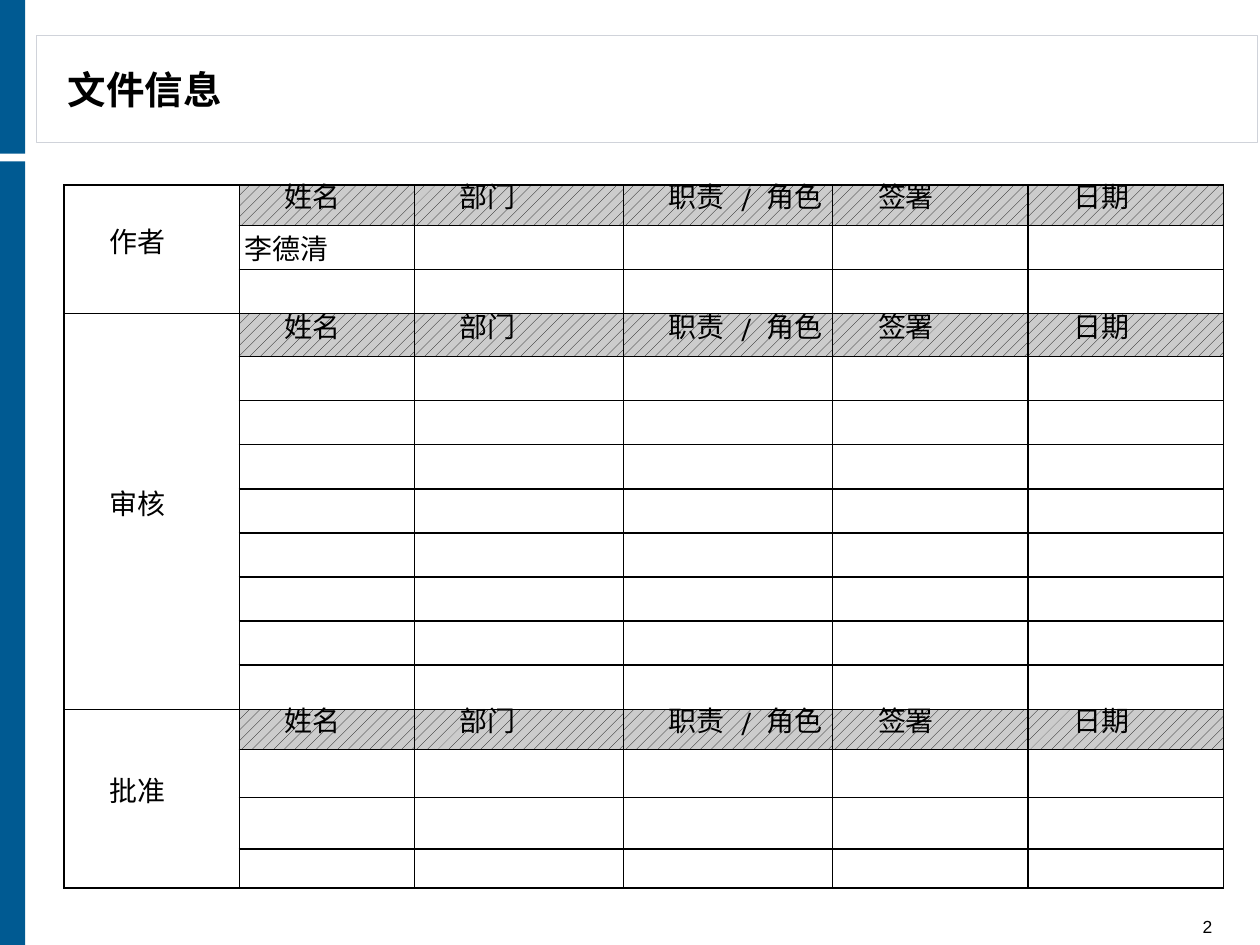
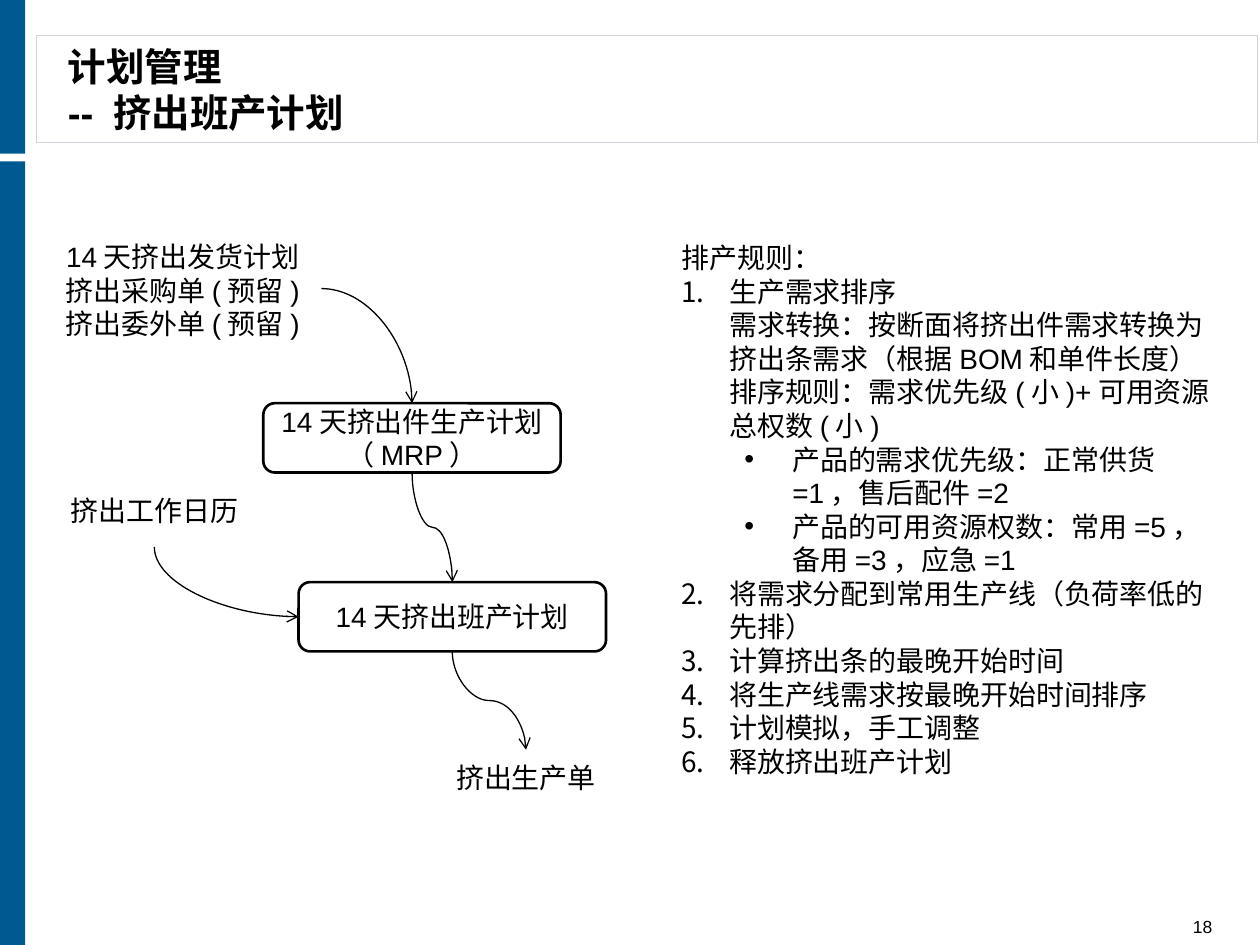
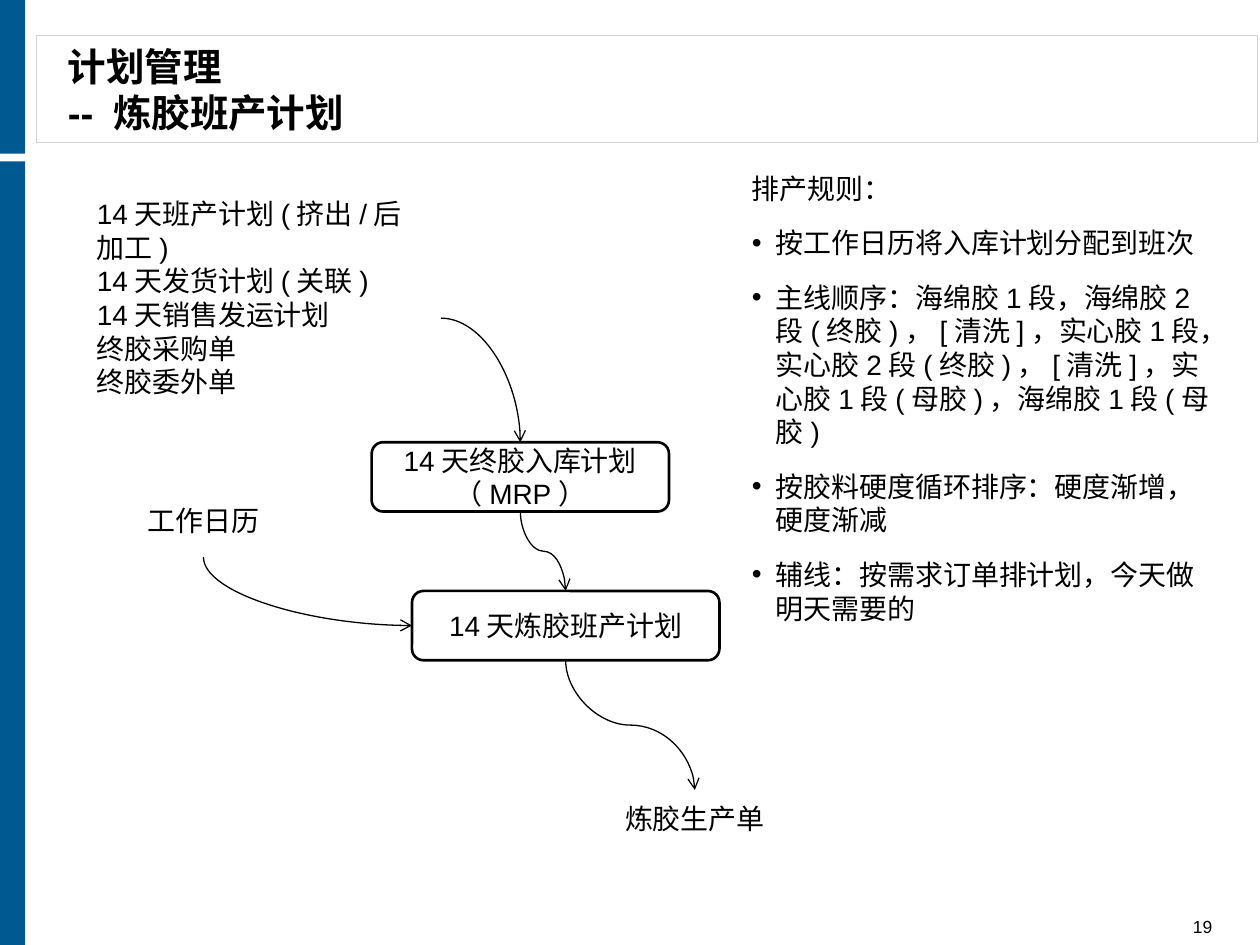
from collections import namedtuple
from dataclasses import dataclass

from lxml import etree
from pptx import Presentation
from pptx import util as u
from pptx.dml.color import RGBColor
from pptx.enum import dml, shapes, text
from pptx.oxml.ns import qn

SHAPE = shapes.MSO_SHAPE
ALIGN = text.PP_ALIGN
ANCHOR = text.MSO_ANCHOR


@dataclass(frozen=True)
class Theme:
    ink: RGBColor = RGBColor.from_string("000000")
    paper: RGBColor = RGBColor.from_string("FFFFFF")
    band: RGBColor = RGBColor.from_string("005A92")
    frame: RGBColor = RGBColor.from_string("D0D3DA")
    header: RGBColor = RGBColor.from_string("CCCCCC")
    font: str = "Arial"
    cjk_font: str = "Noto Sans CJK SC"
    slash_font: str = "TeX Gyre Adventor"
    title: int = 22
    body: int = 16
    footer: int = 10
    thin: float = 0.75
    grid: float = 1
    thick: float = 1.5


class Box(namedtuple("Box", "x y w h")):
    @property
    def center(self):
        return self.x + self.w / 2

    @property
    def middle(self):
        return self.y + self.h / 2

    @property
    def top_point(self):
        return self.center, self.y

    @property
    def bottom_point(self):
        return self.center, self.y + self.h

    @property
    def wave_point(self):
        return self.center, self.y + 0.93 * self.h

    @property
    def left_point(self):
        return self.x, self.middle

    @property
    def right_point(self):
        return self.x + self.w, self.middle


Para = namedtuple("Para", "text bullet left hang", defaults=(None, 0, 0))


def child(parent, tag, **attrs):
    return etree.SubElement(parent, qn(tag), {k: str(v) for k, v in attrs.items()})


def indent(p, left, first):
    ppr = p._p.get_or_add_pPr()
    ppr.set("marL", str(u.Inches(left)))
    ppr.set("indent", str(u.Inches(first)))
    return ppr


class Deck:
    def __init__(self, theme):
        self.t = theme
        self.prs = Presentation()
        self.prs.slide_width = u.Inches(10)
        self.prs.slide_height = u.Inches(7.5)
        self.s = None

    def slide(self, title, number):
        self.s = self.prs.slides.add_slide(self.prs.slide_layouts[6])
        self.shape(SHAPE.RECTANGLE, Box(0.29, 0.28, 9.69, 0.85),
                   self.t.paper, self.t.frame, self.t.thin)
        for y, h in ((1.28, 6.22), (0, 1.22)):
            self.shape(SHAPE.RECTANGLE, Box(0, y, 0.2, h), self.t.band)
        tf = self.textbox(Box(0.44, 0.31, 6.3, 0.79), ANCHOR.MIDDLE, 0)
        self.set_lines(tf, [title], size=self.t.title, bold=True)
        tf = self.textbox(Box(8.78, 7.26, 0.94, 0.18), ANCHOR.BOTTOM, 0)
        self.set_lines(tf, [str(number)], ALIGN.RIGHT, self.t.footer)

    def font(self, p, size, name=None, bold=False):
        f = p.font
        f.size, f.name, f.bold = u.Pt(size), name or self.t.font, bold
        f.color.rgb = self.t.ink

    def frame(self, tf, anchor, side, edge, top=None):
        tf.word_wrap = True
        tf.vertical_anchor = anchor
        tf.margin_left = tf.margin_right = u.Inches(side)
        tf.margin_top = u.Inches(edge if top is None else top)
        tf.margin_bottom = u.Inches(edge)

    def set_lines(self, tf, lines, align=ALIGN.LEFT, size=None, bold=False):
        for i, line in enumerate(lines):
            p = tf.paragraphs[0] if i == 0 else tf.add_paragraph()
            p.text = line
            p.alignment = align
            self.font(p, size or self.t.body, bold=bold)

    def textbox(self, box, anchor=ANCHOR.TOP, edge=0.05):
        tf = self.s.shapes.add_textbox(*map(u.Inches, box)).text_frame
        self.frame(tf, anchor, 0.1, edge)
        return tf

    def shape(self, kind, box, fill=None, line=None, width=0):
        sp = self.s.shapes.add_shape(kind, *map(u.Inches, box))
        sp.shadow.inherit = False
        if fill is None:
            sp.fill.background()
        else:
            sp.fill.solid()
            sp.fill.fore_color.rgb = fill
        if line is None:
            sp.line.fill.background()
        else:
            sp.line.color.rgb = line
            sp.line.width = u.Pt(width)
        return sp

    def step(self, box, label):
        sp = self.shape(SHAPE.ROUNDED_RECTANGLE, box, self.t.paper,
                        self.t.ink, self.t.thick)
        self.frame(sp.text_frame, ANCHOR.MIDDLE, 0.1, 0)
        self.set_lines(sp.text_frame, [label], ALIGN.CENTER)

    def document(self, box, lines, align=ALIGN.CENTER, top=0):
        sp = self.shape(SHAPE.FLOWCHART_DOCUMENT, box)
        self.frame(sp.text_frame, ANCHOR.MIDDLE, 0.1, 0, top)
        self.set_lines(sp.text_frame, lines, align)

    def arrow(self, start, end, bends, downward=True):
        (x1, y1), (x2, y2) = start, end
        c = self.s.shapes.add_connector(
            shapes.MSO_CONNECTOR.CURVE, *map(u.Inches, (x1, y1, x2, y2)))
        c.line.color.rgb = self.t.ink
        c.line.width = u.Pt(self.t.thin)
        sppr = c._element.spPr
        sppr.find(qn("a:prstGeom")).set("prst", f"curvedConnector{bends + 1}")
        if downward:
            w, h = y2 - y1, x2 - x1
            c.left = u.Inches((x1 + x2 - w) / 2)
            c.top = u.Inches((y1 + y2 - h) / 2)
            c.width, c.height = u.Inches(w), u.Inches(h)
            xfrm = sppr.find(qn("a:xfrm"))
            xfrm.set("rot", str(270 * 60000))
            xfrm.set("flipH", "1")
        child(sppr.find(qn("a:ln")), "a:tailEnd", type="arrow")
        child(sppr, "a:effectLst")

    def flow(self, source, plan, shift, result, calendar, align, top=0):
        self.step(*plan)
        self.step(*shift)
        a, b = plan[0], shift[0]
        self.arrow(source[0].right_point, a.top_point, 1, downward=False)
        self.arrow(a.bottom_point, b.top_point, 2)
        self.arrow(b.bottom_point, result[0].top_point, 2)
        self.arrow(calendar[0].wave_point, b.left_point, 1)
        self.document(*source, align, top)
        self.document(*result)
        self.document(*calendar)

    def rules(self, box, paras, gap=0):
        tf = self.textbox(box)
        tf.auto_size = text.MSO_AUTO_SIZE.SHAPE_TO_FIT_TEXT
        self.set_lines(tf, [para.text for para in paras])
        for p, para in zip(tf.paragraphs, paras):
            p.space_before = p.space_after = u.Pt(gap)
            ppr = indent(p, para.left, -para.hang)
            if isinstance(para.bullet, int):
                marks = [child(ppr, "a:buFont", typeface=self.t.font),
                         child(ppr, "a:buAutoNum", type="arabicPeriod",
                               startAt=para.bullet)]
            elif para.bullet:
                marks = [child(ppr, "a:buFont", typeface=self.t.font),
                         child(ppr, "a:buChar", char=para.bullet)]
            else:
                marks = [child(ppr, "a:buNone")]
            for mark in marks:
                ppr.find(qn("a:defRPr")).addprevious(mark)

    def borders(self, cell):
        tcpr = cell._tc.get_or_add_tcPr()
        for side in ("a:lnL", "a:lnR", "a:lnT", "a:lnB"):
            ln = child(tcpr, side, w=u.Pt(self.t.grid))
            child(child(ln, "a:solidFill"), "a:srgbClr", val=self.t.ink)

    def label(self, cell, parts):
        p = cell.text_frame.paragraphs[0]
        indent(p, 0, 0.32)
        p.line_spacing = u.Pt(12)
        p.space_before = u.Pt(6)
        self.font(p, self.t.body, self.t.cjk_font)
        for part in parts:
            r = p.add_run()
            r.text = part
            if part == " / ":
                r.font.name = self.t.slash_font

    def sign_off(self, box, widths, heights, groups, headers, author):
        tb = self.s.shapes.add_table(
            len(heights), len(widths), *map(u.Inches, box)).table
        tb.first_row = tb.horz_banding = False
        for col, w in zip(tb.columns, widths):
            col.width = u.Inches(w)
        for row, h in zip(tb.rows, heights):
            row.height = u.Inches(h)
        for cell in tb.iter_cells():
            cell.vertical_anchor = ANCHOR.MIDDLE
            cell.margin_left = cell.margin_right = u.Inches(0.04)
            cell.margin_top = cell.margin_bottom = 0
            self.borders(cell)
            cell.fill.background()
        top = 0
        for name, count in groups:
            tb.cell(top, 0).merge(tb.cell(top + count - 1, 0))
            self.label(tb.cell(top, 0), [name])
            for i, parts in enumerate(headers, 1):
                cell = tb.cell(top, i)
                cell.fill.patterned()
                cell.fill.pattern = dml.MSO_PATTERN.PERCENT_20
                cell.fill.fore_color.rgb = self.t.ink
                cell.fill.back_color.rgb = self.t.header
                self.label(cell, parts)
            top += count
        p = tb.cell(1, 1).text_frame.paragraphs[0]
        p.text = author
        p.alignment = ALIGN.JUSTIFY
        self.font(p, self.t.body, self.t.slash_font)


deck = Deck(Theme())

deck.slide("文件信息", 2)
deck.sign_off(
    Box(0.51, 1.47, 9.21, 5.63),
    [1.39, 1.39, 1.66, 1.66, 1.55, 1.55],
    [0.32, 0.35, 0.35, 0.34] + [0.35] * 8 + [0.32, 0.38, 0.41, 0.31],
    [("作者", 3), ("审核", 9), ("批准", 4)],
    [["姓名"], ["部门"], ["职责", " / ", "角色"], ["签署"], ["日期"]],
    "李德清")

deck.slide("计划管理\v-- 挤出班产计划", 18)
deck.flow(
    source=(Box(0.35, 1.7, 2.2, 1.18),
            ["14天挤出发货计划", "挤出采购单(预留)", "挤出委外单(预留)"]),
    plan=(Box(2.09, 3.2, 2.36, 0.55), "14天挤出件生产计划（MRP）"),
    shift=(Box(2.37, 4.62, 2.44, 0.55), "14天挤出班产计划"),
    result=(Box(3.11, 5.95, 2.13, 0.55), ["挤出生产单"]),
    calendar=(Box(0.2, 3.83, 2.05, 0.55), ["挤出工作日历"]),
    align=ALIGN.CENTER, top=0.26)
later_steps = ["将需求分配到常用生产线（负荷率低的先排）", "计算挤出条的最晚开始时间",
               "将生产线需求按最晚开始时间排序", "计划模拟，手工调整", "释放挤出班产计划"]
deck.rules(Box(5.31, 1.86, 4.41, 4.41), [
    Para("排产规则："),
    Para("生产需求排序", 1, 0.38, 0.38),
    Para("需求转换：按断面将挤出件需求转换为挤出条需求（根据BOM和单件长度）", left=0.38),
    Para("排序规则：需求优先级(小)+可用资源总权数(小)", left=0.38),
    Para("产品的需求优先级：正常供货=1，售后配件=2", "•", 0.88, 0.38),
    Para("产品的可用资源权数：常用=5，备用=3，应急=1", "•", 0.88, 0.38),
    *(Para(line, 2, 0.38, 0.38) for line in later_steps)])

deck.slide("计划管理\v-- 炼胶班产计划", 19)
deck.flow(
    source=(Box(0.67, 1.7, 2.83, 1.65),
            ["14天班产计划(挤出/后加工)", "14天发货计划(关联)", "14天销售发运计划",
             "终胶采购单", "终胶委外单"]),
    plan=(Box(2.95, 3.51, 2.36, 0.55), "14天终胶入库计划（MRP）"),
    shift=(Box(3.27, 4.69, 2.44, 0.55), "14天炼胶班产计划"),
    result=(Box(4.45, 6.27, 2.13, 0.55), ["炼胶生产单"]),
    calendar=(Box(0.59, 3.91, 2.05, 0.55), ["工作日历"]),
    align=ALIGN.LEFT)
mixing_rules = [
    "按工作日历将入库计划分配到班次",
    "主线顺序：海绵胶1段，海绵胶2段(终胶)，[清洗]，实心胶1段，"
    "实心胶2段(终胶)，[清洗]，实心胶1段(母胶)，海绵胶1段(母胶)",
    "按胶料硬度循环排序：硬度渐增，硬度渐减",
    "辅线：按需求订单排计划，今天做明天需要的"]
deck.rules(Box(5.87, 1.31, 3.86, 3.47), [
    Para("排产规则："),
    *(Para(rule, "•", 0.19, 0.19) for rule in mixing_rules)], gap=6)

deck.prs.save("out.pptx")
